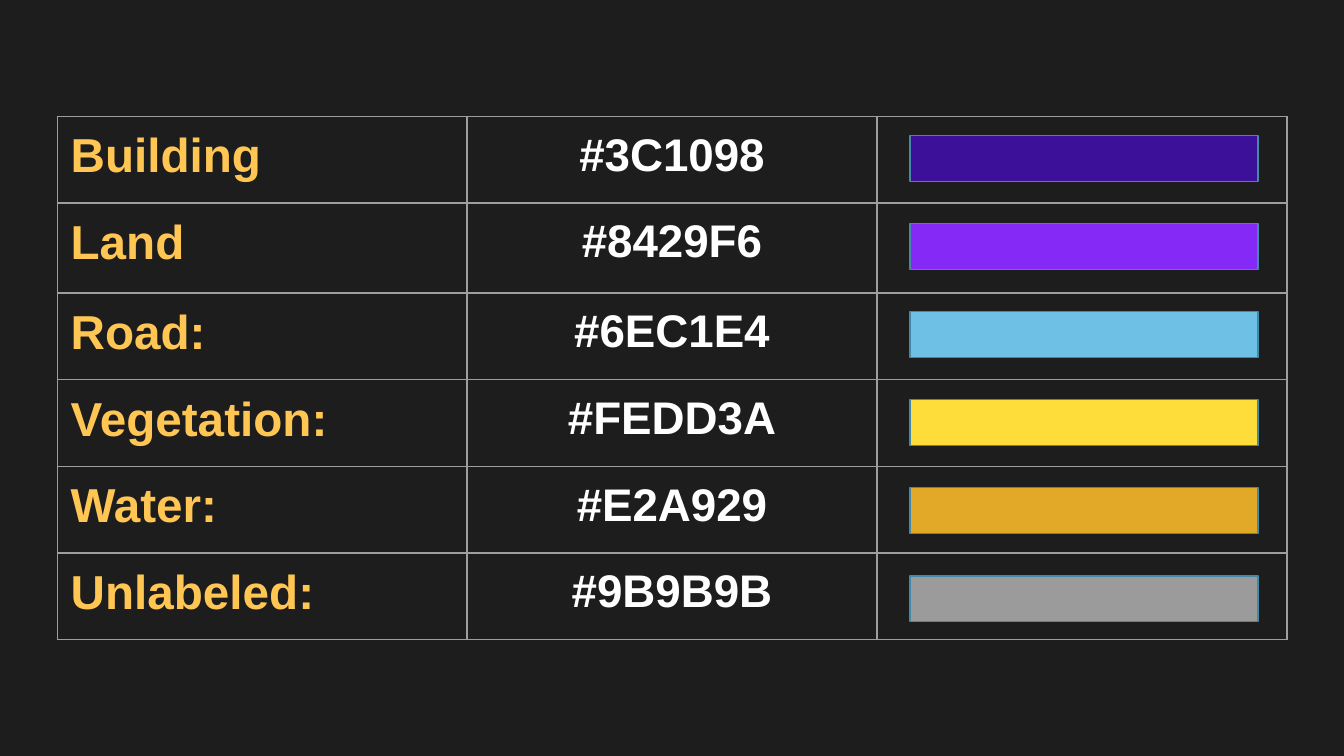
from dataclasses import dataclass

from lxml.etree import SubElement
from pptx import Presentation
from pptx.dml.color import RGBColor as RGB
from pptx.enum.shapes import MSO_SHAPE as SHAPE
from pptx.enum.text import PP_ALIGN as ALIGN
from pptx.oxml.ns import qn
from pptx.util import Pt

PX = 4572


@dataclass(frozen=True)
class Theme:
    font: str = "Arial"
    bg: str = "1D1D1D"
    label: str = "FFC654"
    code: str = "FFFFFF"
    grid: str = "9E9E9E"
    outline: str = "428AA8"
    label_size: float = 25.5
    code_size: float = 24.5
    line: float = 0.75


class Deck:
    def __init__(self, theme, width, height):
        self.t = theme
        self.prs = Presentation()
        self.prs.slide_width, self.prs.slide_height = width * PX, height * PX
        self.s = self.prs.slides.add_slide(self.prs.slide_layouts[6])
        self.paint(self.s.background.fill, theme.bg)

    def paint(self, fill, color):
        fill.solid()
        fill.fore_color.rgb = RGB.from_string(color)

    def border(self, cell):
        tc_pr = cell._tc.get_or_add_tcPr()
        for side in ("lnL", "lnR", "lnT", "lnB"):
            ln = SubElement(tc_pr, qn(f"a:{side}"), w=str(Pt(self.t.line)))
            fill = SubElement(ln, qn("a:solidFill"))
            SubElement(fill, qn("a:srgbClr"), val=self.t.grid)

    def cell_text(self, cell, text, size, color, align):
        p = cell.text_frame.paragraphs[0]
        p.alignment = align
        r = p.add_run()
        r.text = text
        r.font.name, r.font.size, r.font.bold = self.t.font, Pt(size), True
        r.font.color.rgb = RGB.from_string(color)

    def table(self, x, y, col_width, heights, entries):
        t = self.t
        frame = self.s.shapes.add_table(
            len(entries), 3, x * PX, y * PX, 3 * col_width * PX, sum(heights) * PX)
        tbl = frame.table
        tbl.first_row = tbl.horz_banding = False
        for col in tbl.columns:
            col.width = col_width * PX
        for row, height in zip(tbl.rows, heights):
            row.height = height * PX
        for cell in tbl.iter_cells():
            cell.margin_left = cell.margin_right = 20 * PX
            cell.margin_top = cell.margin_bottom = 20 * PX
            self.border(cell)
            cell.fill.background()
        for i, (name, color) in enumerate(entries):
            self.cell_text(tbl.cell(i, 0), name, t.label_size, t.label, ALIGN.LEFT)
            self.cell_text(tbl.cell(i, 1), f"#{color}", t.code_size, t.code, ALIGN.CENTER)

    def swatch(self, x, y, w, h, color):
        sp = self.s.shapes.add_shape(SHAPE.RECTANGLE, x * PX, y * PX, w * PX, h * PX)
        sp.shadow.inherit = False
        self.paint(sp.fill, color)
        self.paint(sp.line.fill, self.t.outline)
        sp.line.width = Pt(self.t.line)


def main():
    classes = [
        ("Building", "3C1098"),
        ("Land", "8429F6"),
        ("Road:", "6EC1E4"),
        ("Vegetation:", "FEDD3A"),
        ("Water:", "E2A929"),
        ("Unlabeled:", "9B9B9B"),
    ]
    deck = Deck(Theme(), 2000, 1125)
    deck.table(85, 173, 610, [129, 134, 129, 129, 129, 129], classes)
    for i, (_, color) in enumerate(classes):
        deck.swatch(1354, 202 + 131 * i, 518, 68, color)
    deck.prs.save("out.pptx")


if __name__ == "__main__":
    main()
